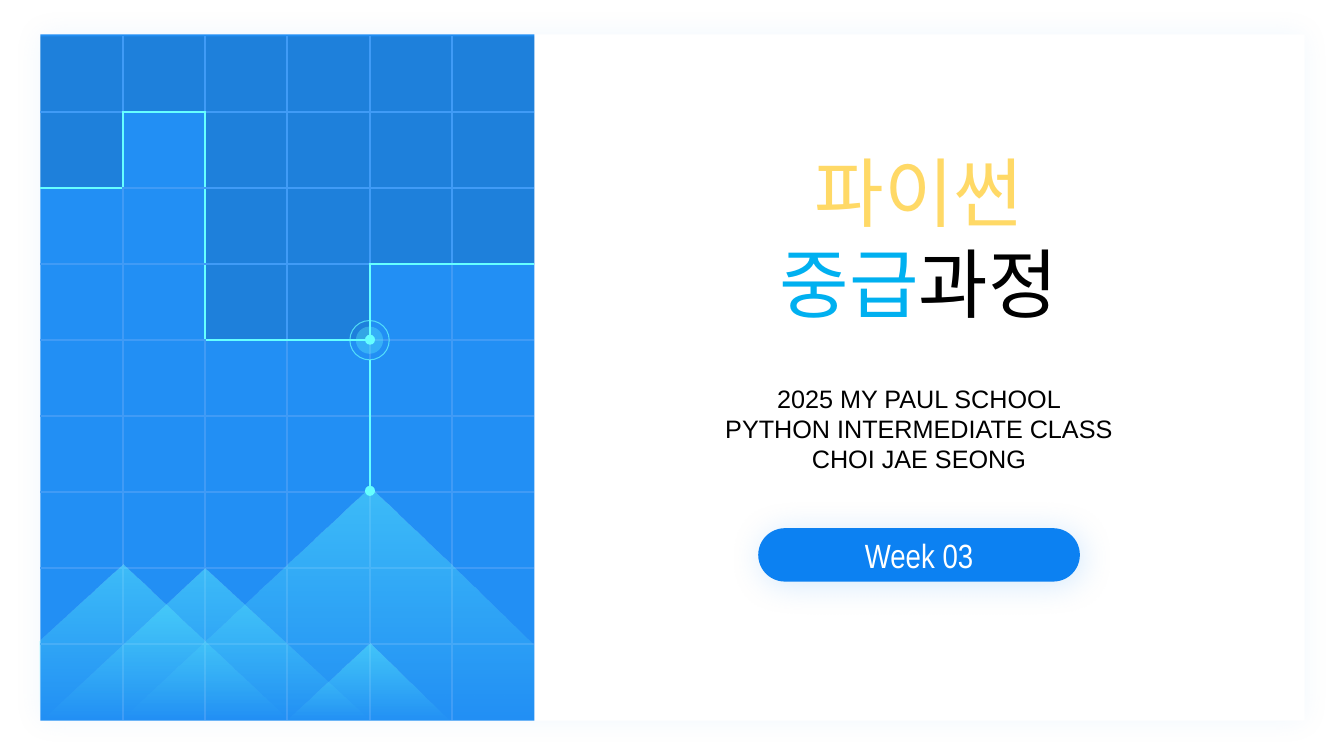
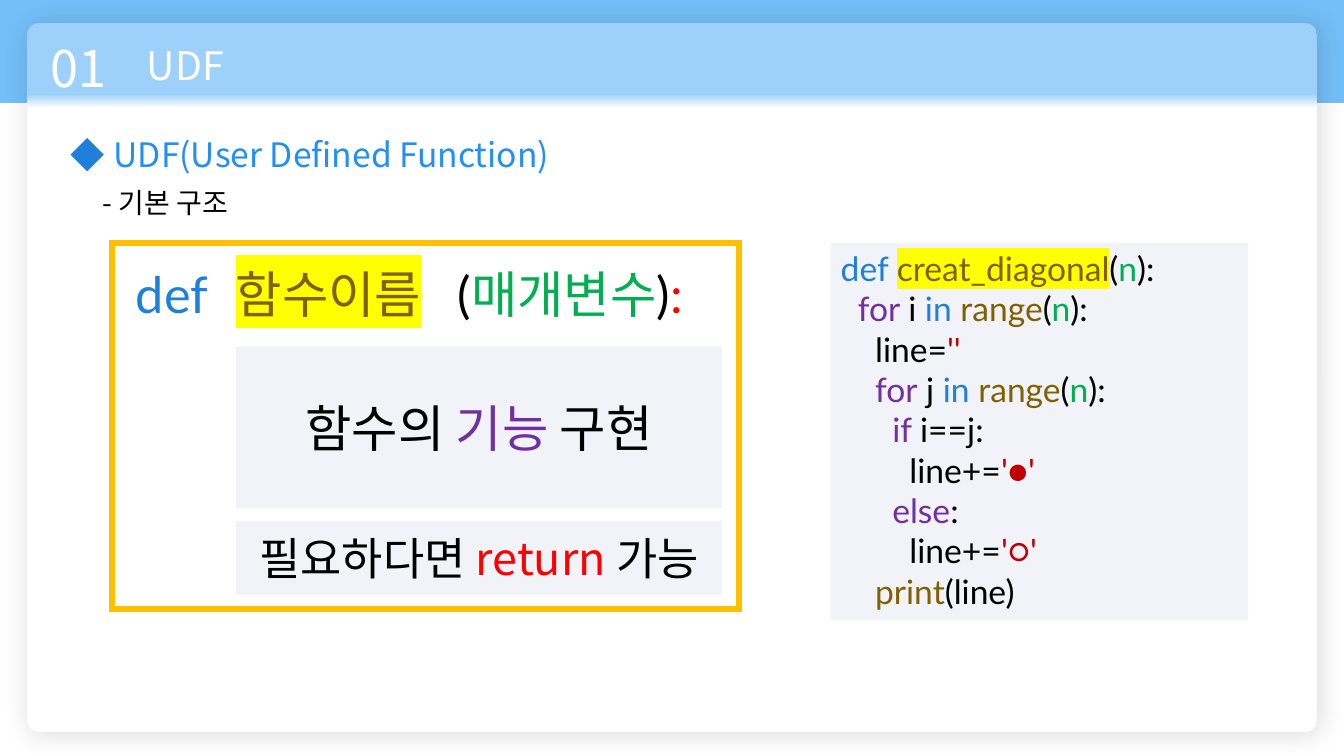
from dataclasses import dataclass

from lxml import etree
from pptx import Presentation
from pptx.dml.color import RGBColor
from pptx.enum.shapes import MSO_CONNECTOR, MSO_SHAPE
from pptx.enum.text import MSO_ANCHOR, MSO_AUTO_SIZE, PP_ALIGN
from pptx.oxml.ns import qn
from pptx.util import Pt

RECT = MSO_SHAPE.RECTANGLE
ROUND = MSO_SHAPE.ROUNDED_RECTANGLE
OVAL = MSO_SHAPE.OVAL
DIAMOND = MSO_SHAPE.DIAMOND
STRAIGHT = MSO_CONNECTOR.STRAIGHT
LEFT, CENTER = PP_ALIGN.LEFT, PP_ALIGN.CENTER
TOP, MIDDLE = MSO_ANCHOR.TOP, MSO_ANCHOR.MIDDLE
GROW, FIXED = MSO_AUTO_SIZE.SHAPE_TO_FIT_TEXT, MSO_AUTO_SIZE.NONE
PX = 9144
PLAIN = "{2D5ABB26-0587-4C30-8999-92F81FD0307C}"


@dataclass(frozen=True)
class Theme:
    white: str = "FFFFFF"
    black: str = "000000"
    panel: str = "228FF4"
    brand: str = "0C81F2"
    grid: str = "409BF6"
    cyan: str = "66FFFF"
    band: str = "74BFF8"
    head: str = "9DD1FB"
    blue: str = "1F80DB"
    sky: str = "00B0F0"
    sand: str = "FFD966"
    gold: str = "FFC000"
    pale: str = "F2F3F9"
    brown: str = "806000"
    green: str = "00B050"
    violet: str = "7030A0"
    red: str = "FF0000"
    wine: str = "C00000"
    yellow: str = "FFFF00"
    noto: str = "Noto Sans CJK KR"
    lato: str = "Lato"
    arial: str = "Arial"
    narrow: str = "Arial Narrow"
    title: int = 54
    large: int = 36
    note: int = 32
    head_size: int = 28
    body: int = 24
    small: int = 20
    sub: int = 18


T = Theme()


def paint(shape, fill=None, line=None, width=1, alphas=(), glow=None):
    if isinstance(fill, tuple):
        shape.fill.gradient()
        shape.fill.gradient_angle = 270
        for stop, (color, place) in zip(shape.fill.gradient_stops, fill):
            stop.color.rgb = RGBColor.from_string(color)
            stop.position = place
    elif fill:
        shape.fill.solid()
        shape.fill.fore_color.rgb = RGBColor.from_string(fill)
    else:
        shape.fill.background()
    props = shape._element.spPr
    if line:
        shape.line.color.rgb = RGBColor.from_string(line)
        shape.line.width = Pt(width)
        etree.SubElement(props.find(qn("a:ln")), qn("a:miter"), lim="800000")
    else:
        shape.line.fill.background()
    for node, alpha in zip(props.xpath(".//a:srgbClr"), alphas):
        for old in list(node):
            node.remove(old)
        etree.SubElement(node, qn("a:alpha"), val=str(alpha * 1000))
    shape.shadow.inherit = False
    if glow:
        color, alpha, blur, dist, angle = glow
        cast = etree.SubElement(
            props.find(qn("a:effectLst")), qn("a:outerShdw"),
            blurRad=str(Pt(blur)), dist=str(Pt(dist)),
            dir=str(angle * 60000), algn="ctr", rotWithShape="0")
        tint = etree.SubElement(cast, qn("a:srgbClr"), val=color)
        etree.SubElement(tint, qn("a:alpha"), val=str(alpha * 1000))
    return shape


def write(shape, rows, size, face=T.noto, color=T.black, align=LEFT,
          anchor=TOP, fit=GROW, east=T.noto):
    frame = shape.text_frame
    frame.word_wrap = True
    frame.auto_size = fit
    frame.vertical_anchor = anchor
    for i, row in enumerate(rows):
        para = frame.add_paragraph() if i else frame.paragraphs[0]
        para.alignment = align
        font = para.font
        font.size = Pt(size)
        font.name = face
        font.color.rgb = RGBColor.from_string(color)
        etree.SubElement(font._element, qn("a:ea"), typeface=east)
        for part in row:
            words, tint, mark = (*part, None, None)[:3]
            run = para.add_run()
            run.text = words
            if tint:
                run.font.color.rgb = RGBColor.from_string(tint)
            if mark:
                light = etree.SubElement(run.font._element, qn("a:highlight"))
                etree.SubElement(light, qn("a:srgbClr"), val=mark)


deck = Presentation()
deck.slide_width, deck.slide_height = 1333 * PX, 750 * PX
blank = deck.slide_layouts[6]

shapes = deck.slides.add_slide(blank).shapes
sheet = shapes.add_shape(RECT, 40 * PX, 34 * PX, 1254 * PX, 681 * PX)
paint(sheet, T.white, glow=(T.brand, 5, 20, 0, 0))
panel = shapes.add_shape(RECT, 40 * PX, 34 * PX, 490 * PX, 681 * PX)
paint(panel, T.panel)
pill = shapes.add_shape(ROUND, 752 * PX, 524 * PX, 319 * PX, 53 * PX)
pill.adjustments[0] = 0.5
paint(pill, T.brand, glow=(T.brand, 17, 24, 3, 45))
write(pill, [[("Week 03",)]], T.body, T.narrow, T.white, CENTER, MIDDLE, FIXED)

depths = [2, 1, 4, 4, 3, 3]
count = 9
table = shapes.add_table(
    count, len(depths), 40 * PX, 36 * PX, 490 * PX, 678 * PX).table
table.first_row = table.horz_banding = False
table._tbl.tblPr.find(qn("a:tableStyleId")).text = PLAIN
sides = [("a:lnL", 0, -1), ("a:lnR", 0, 1), ("a:lnT", -1, 0), ("a:lnB", 1, 0)]
for r in range(count):
    for c, depth in enumerate(depths):
        cell = table.cell(r, c)
        props = cell._tc.get_or_add_tcPr()
        dark = r < depth
        for tag, down, over in sides:
            y, x = r + down, c + over
            edge = etree.SubElement(props, qn(tag), w=str(Pt(1.5)))
            if 0 <= y < count and 0 <= x < len(depths):
                tint = T.grid if dark == (y < depths[x]) else T.cyan
                solid = etree.SubElement(edge, qn("a:solidFill"))
                etree.SubElement(solid, qn("a:srgbClr"), val=tint)
            else:
                etree.SubElement(edge, qn("a:noFill"))
        if dark:
            cell.fill.solid()
            cell.fill.fore_color.rgb = RGBColor.from_string(T.black)
            shade = props.xpath("./a:solidFill/a:srgbClr")[0]
            etree.SubElement(shade, qn("a:alpha"), val="10000")
        else:
            cell.fill.background()

disc = shapes.add_shape(OVAL, 353 * PX, 324 * PX, 27 * PX, 27 * PX)
paint(disc, T.cyan, alphas=[30])
ring = shapes.add_shape(OVAL, 347 * PX, 318 * PX, 39 * PX, 39 * PX)
paint(ring, line=T.cyan, width=0.75, alphas=[70])
stem = shapes.add_connector(STRAIGHT, 367 * PX, 357 * PX, 367 * PX, 484 * PX)
stem.line.color.rgb = RGBColor.from_string(T.cyan)
stem.line.width = Pt(1.5)
etree.SubElement(stem._element.spPr, qn("a:effectLst"))

peaks = [
    [(39, 713), (39, 636), (122, 560), (287, 715)],
    [(120, 715), (367, 484), (450, 563), (529, 640), (529, 714)],
    [(40, 716), (203, 564), (368, 716)],
    [(284, 715), (367, 638), (448, 717)],
]
for start, *rest in peaks:
    path = shapes.build_freeform(*start, scale=PX)
    path.add_line_segments(rest, close=True)
    paint(path.convert_to_shape(), ((T.cyan, 0), (T.cyan, 1)), alphas=[41, 0])
for y in (332, 482):
    paint(shapes.add_shape(OVAL, 362 * PX, y * PX, 10 * PX, 10 * PX), T.cyan)

title = shapes.add_textbox(578 * PX, 140 * PX, 667 * PX, 192 * PX)
write(title, [[("파이썬", T.sand)], [("중급", T.sky), ("과정",)]],
      T.title, align=CENTER, east=T.lato)
names = ["2025 MY PAUL SCHOOL", "PYTHON INTERMEDIATE CLASS", "CHOI JAE SEONG"]
about = shapes.add_textbox(578 * PX, 375 * PX, 667 * PX, 101 * PX)
write(about, [[(name,)] for name in names], T.sub, T.arial, align=CENTER)

shapes = deck.slides.add_slide(blank).shapes
paint(shapes.add_shape(RECT, 0, 0, 1333 * PX, 102 * PX), T.band)
card = shapes.add_shape(ROUND, 27 * PX, 23 * PX, 1279 * PX, 703 * PX)
card.adjustments[0] = 0.016
paint(card, ((T.head, 0.1), (T.white, 0.12)), glow=(T.black, 14, 20, 3, 45))
bullet = shapes.add_shape(DIAMOND, 70 * PX, 137 * PX, 33 * PX, 33 * PX)
paint(bullet, T.blue)

labels = [
    (40, 32, 102, 71, T.large, T.noto, T.white, [("01",)]),
    (136, 36, 490, 57, T.head_size, T.noto, T.white, [("UDF",)]),
    (103, 128, 596, 50, T.body, T.noto, T.panel,
     [("UDF(User Defined Function)",)]),
    (92, 179, 807, 44, T.small, T.noto, T.black, [("- 기본 구조",)]),
    (125, 256, 99, 71, T.large, T.lato, T.blue, [("def",)]),
    (224, 256, 250, 71, T.large, T.lato, T.brown,
     [("함수이름", None, T.yellow)]),
    (444, 256, 404, 71, T.large, T.lato, T.black,
     [("(",), ("매개변수", T.green), (")",), (":", T.red)]),
]
for x, y, w, h, size, face, color, row in labels:
    box = shapes.add_textbox(x * PX, y * PX, w * PX, h * PX)
    write(box, [row], size, face, color)

blocks = [
    (344, 160, T.large, [("함수의 ",), ("기능", T.violet), (" 구현",)]),
    (517, 73, T.note, [("필요하다면 ",), ("return ", T.red), ("가능",)]),
]
for y, h, size, row in blocks:
    block = shapes.add_shape(RECT, 234 * PX, y * PX, 482 * PX, h * PX)
    paint(block, T.pale)
    write(block, [row], size, align=CENTER, anchor=MIDDLE, fit=FIXED)
border = shapes.add_shape(RECT, 111 * PX, 241 * PX, 622 * PX, 363 * PX)
paint(border, line=T.gold, width=4.5)

tail = [("in ", T.blue), ("range", T.brown), ("(",), ("n", T.green), ("):",)]
code = [
    [("def ", T.blue), ("creat_diagonal", T.brown, T.yellow), ("(",),
     ("n", T.green), ("):",)],
    [("  for ", T.violet), ("i ",), *tail],
    [("    line=",), ("''", T.wine)],
    [("    for", T.violet), (" j ",), *tail],
    [("      if ", T.violet), ("i==j:",)],
    [("        line+=",), ("'●'", T.wine)],
    [("      else", T.violet), (":",)],
    [("        line+=",), ("'○'", T.wine)],
    [("    print", T.brown), ("(line)",)],
]
sample = shapes.add_shape(RECT, 824 * PX, 241 * PX, 414 * PX, 374 * PX)
paint(sample, T.pale)
write(sample, code, T.body, T.lato)

deck.save("out.pptx")
